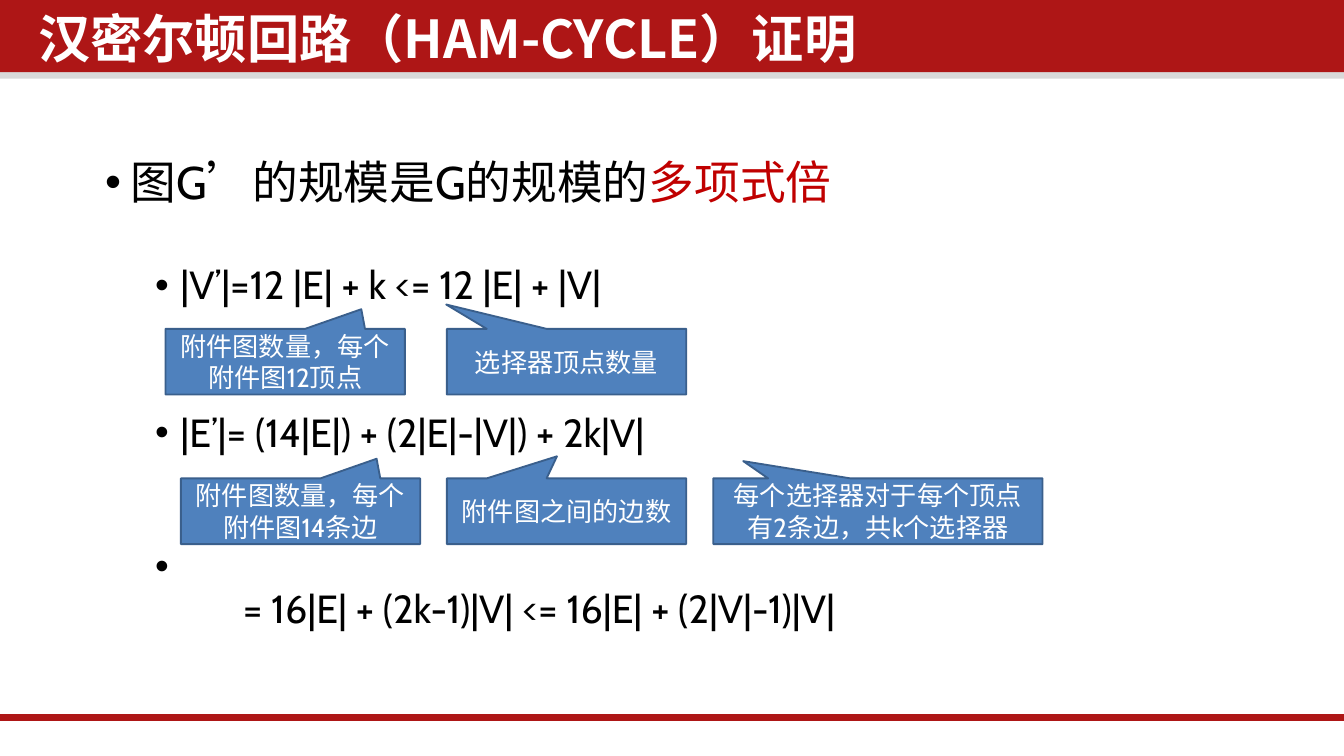
from lxml.etree import SubElement
from pptx import Presentation
from pptx.dml.color import RGBColor
from pptx.enum.shapes import MSO_CONNECTOR, MSO_SHAPE
from pptx.enum.text import MSO_ANCHOR, PP_ALIGN
from pptx.oxml.ns import qn
from pptx.util import Pt

WHITE = RGBColor(0xFF, 0xFF, 0xFF)
BLACK = RGBColor(0, 0, 0)
GRAY = RGBColor(0xD9, 0xD9, 0xD9)
BRAND_RED = RGBColor(0xAE, 0x16, 0x16)
ACCENT_RED = RGBColor(0xC0, 0, 0)
BLUE = RGBColor(0x4F, 0x81, 0xBD)
DARK_BLUE = RGBColor(0x3A, 0x5F, 0x8C)
LATIN = "Cabin"
HAN = "Noto Sans CJK SC"
WIDTH, HEIGHT = 720, 405


def add_span(para, text, size, color, font=LATIN, bold=False):
    span = para.add_run()
    span.text = text
    span.font.size = Pt(size)
    span.font.bold = bold
    span.font.name = font
    span.font.color.rgb = color
    SubElement(span.font._element, qn("a:ea")).set("typeface", HAN)


class SlideBuilder:
    def __init__(self, page):
        self.page = page

    def bar(self, top, height, color):
        box = self.page.shapes.add_shape(
            MSO_SHAPE.RECTANGLE, 0, Pt(top), Pt(WIDTH), Pt(height))
        box.shadow.inherit = False
        box.fill.solid()
        box.fill.fore_color.rgb = color
        box.line.fill.background()

    def rule(self, top, weight, color):
        line = self.page.shapes.add_connector(
            MSO_CONNECTOR.STRAIGHT, Pt(-1.5), Pt(top), Pt(WIDTH), Pt(top))
        line.line.color.rgb = color
        line.line.width = Pt(weight)
        SubElement(line._element.spPr, qn("a:effectLst"))

    def text_frame(self, left, top, width, height):
        box = self.page.shapes.add_textbox(Pt(left), Pt(top), Pt(width), Pt(height))
        box.text_frame.word_wrap = True
        return box.text_frame

    def title(self, text):
        frame = self.text_frame(15.1, 4.3, 550, 42.5)
        frame.margin_left = frame.margin_right = Pt(5.4)
        frame.margin_top = frame.margin_bottom = Pt(2.7)
        para = frame.paragraphs[0]
        para.line_spacing = 0.9
        para.space_before = Pt(7.5)
        add_span(para, text, 28, WHITE, font=HAN, bold=True)

    def bullet(self, para, before, margin, hanging, level=0):
        para.level = level
        para.line_spacing = 0.9
        para.space_before = Pt(before)
        properties = para._p.get_or_add_pPr()
        properties.set("marL", str(Pt(margin)))
        properties.set("indent", str(Pt(-hanging)))
        SubElement(properties, qn("a:buFont")).set("typeface", "Arial")
        SubElement(properties, qn("a:buChar")).set("char", "•")

    def line_break(self, para, size):
        para.add_line_break()
        style = SubElement(para._p[-1], qn("a:rPr"))
        style.set("sz", str(size * 100))
        SubElement(style, qn("a:latin")).set("typeface", LATIN)

    def body(self, heading, emphasis, formulas):
        frame = self.text_frame(49.3, 82, 592, 250)
        para = frame.paragraphs[0]
        self.bullet(para, 7.5, 13.5, 13.5)
        add_span(para, heading, 24.5, BLACK)
        add_span(para, emphasis, 24.5, ACCENT_RED)
        for text, before, margin, hanging, on_next_line in formulas:
            para = frame.add_paragraph()
            self.bullet(para, before, margin, hanging, level=1)
            if on_next_line:
                self.line_break(para, 21)
            add_span(para, text, 21, BLACK)

    def callout(self, left, top, width, tip, text):
        box = self.page.shapes.add_shape(
            MSO_SHAPE.RECTANGULAR_CALLOUT, Pt(left), Pt(top), Pt(width), Pt(35.2))
        box.adjustments[0], box.adjustments[1] = tip
        box.shadow.inherit = False
        box.fill.solid()
        box.fill.fore_color.rgb = BLUE
        box.line.color.rgb = DARK_BLUE
        box.line.width = Pt(1)
        frame = box.text_frame
        frame.word_wrap = True
        frame.vertical_anchor = MSO_ANCHOR.MIDDLE
        para = frame.paragraphs[0]
        para.alignment = PP_ALIGN.CENTER
        add_span(para, text, 14, WHITE)


def main():
    deck = Presentation()
    deck.slide_width, deck.slide_height = Pt(WIDTH), Pt(HEIGHT)
    builder = SlideBuilder(deck.slides.add_slide(deck.slide_layouts[6]))

    builder.bar(36, 6.2, GRAY)
    builder.bar(0, 38.7, BRAND_RED)
    builder.rule(384.5, 4, BRAND_RED)
    builder.title("汉密尔顿回路（HAM-CYCLE）证明")
    builder.body("图G’的规模是G的规模的", "多项式倍", [
        ("|V’|=12 |E| + k <= 12 |E| + |V|", 30.4, 40.3, 13.5, False),
        ("|E’|= (14|E|) + (2|E|-|V|) + 2k|V|", 56.5, 40.3, 13.5, False),
        ("= 16|E| + (2k-1)|V| <= 16|E| + (2|V|-1)|V|", 49, 73.7, 46.9, True),
    ])

    vertex_row, edge_row = 176.2, 256.3
    for callout in [
        (88.7, vertex_row, 128.2, (0.318, -0.799), "附件图数量，每个附件图12顶点"),
        (239.4, vertex_row, 128.2, (-0.503, -0.871), "选择器顶点数量"),
        (96.9, edge_row, 128.2, (0.318, -0.799), "附件图数量，每个附件图14条边"),
        (239.4, edge_row, 128.2, (-0.04, -0.836), "附件图之间的边数"),
        (382.1, edge_row, 176.4, (-0.409, -0.763), "每个选择器对于每个顶点有2条边，共k个选择器"),
    ]:
        builder.callout(*callout)
    deck.save("out.pptx")


if __name__ == "__main__":
    main()
